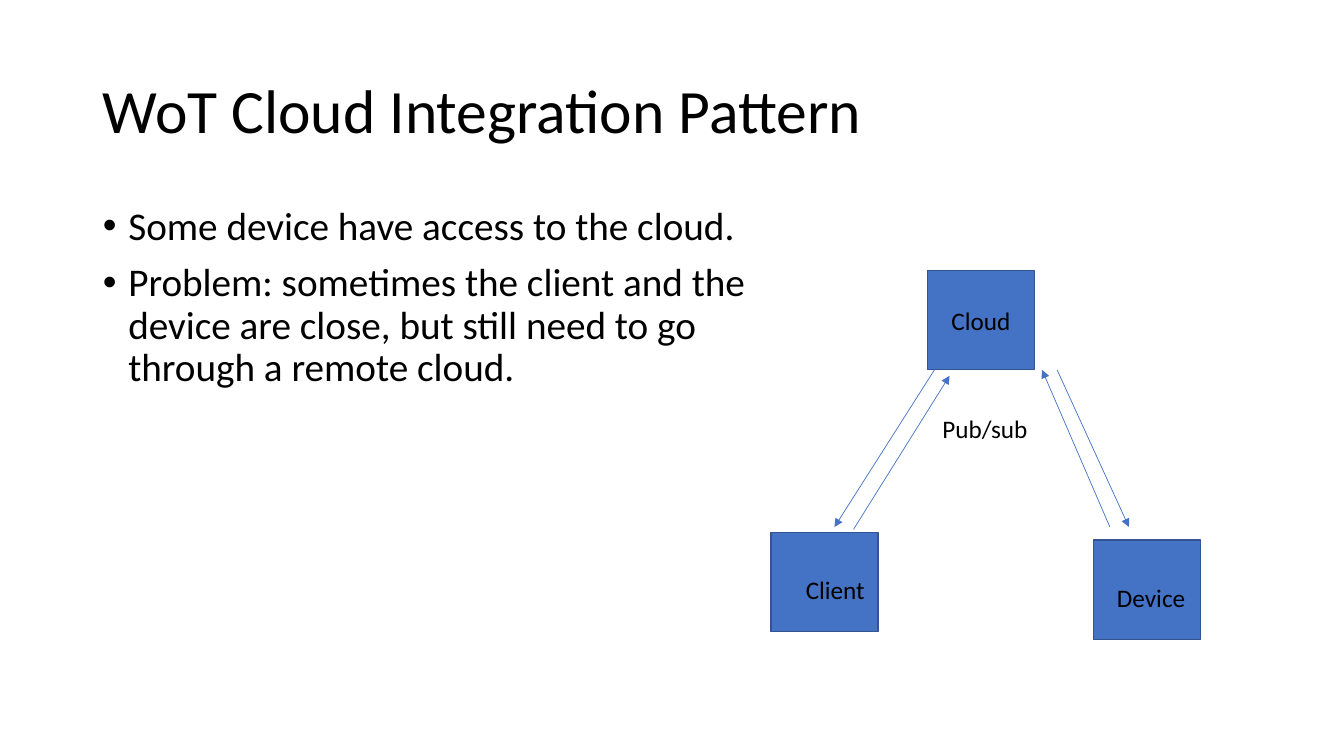
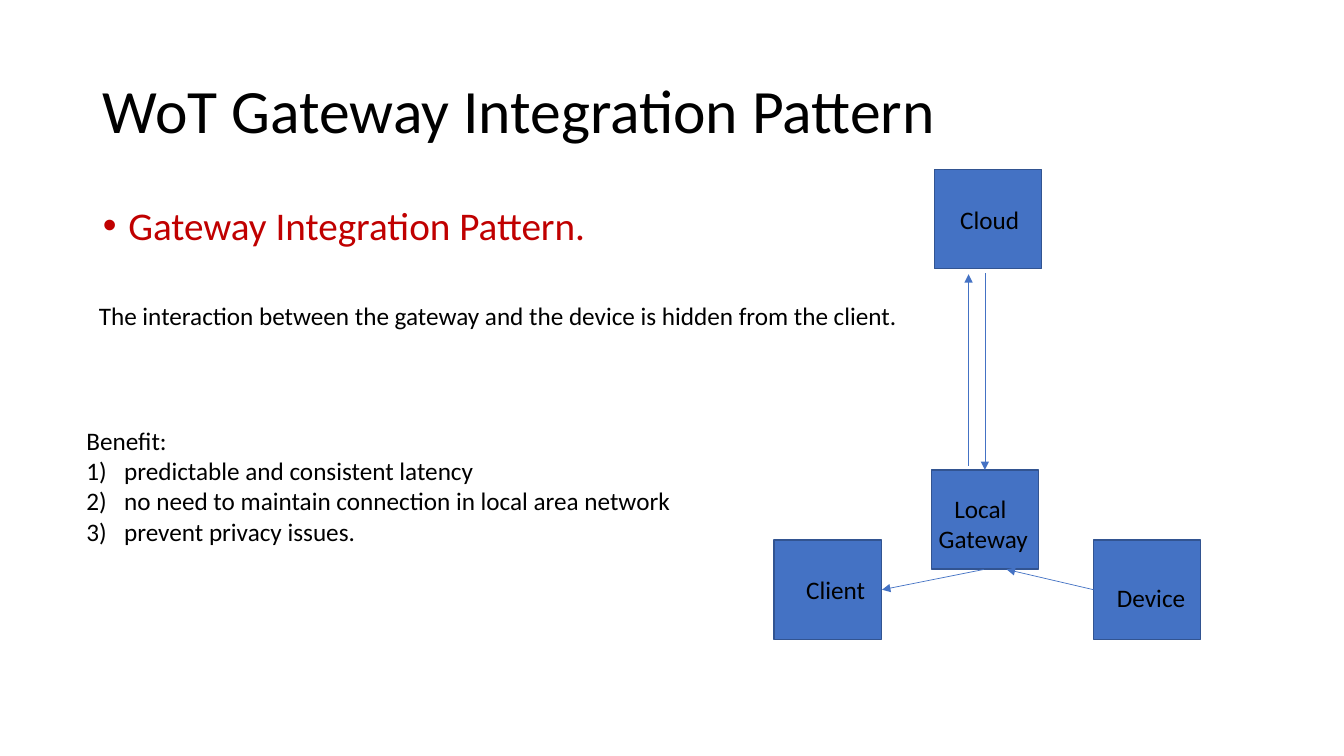
import pptx
import pptx.util
import pptx.dml.color
import pptx.enum.shapes
import pptx.enum.text
import pptx.oxml.ns
import lxml.etree

Cm = pptx.util.Cm
Pt = pptx.util.Pt
Align = pptx.enum.text.PP_ALIGN
Anchor = pptx.enum.text.MSO_ANCHOR
Fit = pptx.enum.text.MSO_AUTO_SIZE

COLORS = {"text": "000000", "accent": "C00000", "node": "4472C4",
          "border": "325491", "arrow": "4472C4"}
FONT = "Calibri"
LABEL_SIZE = 18
NODE_WIDTH, NODE_HEIGHT = 2.7, 2.5
TITLE_BOX = (2.34, 1.02, 29.2, 3.68)
DIAGRAM_BOX = (19.4, 4.2, 11.5, 12.1)


def rgb(name):
    return pptx.dml.color.RGBColor.from_string(COLORS[name])


def add_element(parent, tag, **attributes):
    return lxml.etree.SubElement(parent, pptx.oxml.ns.qn(tag), attributes)


def place(shape, box):
    shape.left, shape.top, shape.width, shape.height = map(Cm, box)


def indent(para, width):
    properties = para._p.get_or_add_pPr()
    properties.set("marL", str(Cm(width)))
    properties.set("indent", str(-Cm(width)))
    return properties


def write(frame, lines, size, color="text", align=Align.LEFT):
    frame.text = "\n".join(lines)
    for para in frame.paragraphs:
        para.alignment = align
        for span in para.runs:
            span.font.size = Pt(size)
            span.font.name = FONT
            span.font.color.rgb = rgb(color)


def add_title(page, text):
    title = page.shapes.title
    place(title, TITLE_BOX)
    frame = title.text_frame
    write(frame, [text], 44)
    frame.auto_size = Fit.NONE
    frame.vertical_anchor = Anchor.MIDDLE
    frame.paragraphs[0].line_spacing = 0.9


def add_bullets(page, box, lines, color="text"):
    body = page.placeholders[1]
    place(body, box)
    frame = body.text_frame
    write(frame, lines, 28, color)
    frame.auto_size = Fit.NONE
    for index, para in enumerate(frame.paragraphs):
        indent(para, 0.64)
        para.line_spacing = 0.9
        para.space_before = Pt(10 if index else 0)


def add_text(page, box, lines, wrap=True):
    frame = page.shapes.add_textbox(*map(Cm, box)).text_frame
    frame.word_wrap = wrap
    write(frame, lines, LABEL_SIZE)
    return frame


def add_numbered_text(page, box, heading, items):
    frame = add_text(page, box, [heading, *items])
    for para in frame.paragraphs[1:]:
        properties = indent(para, 0.95)
        add_element(properties, "a:buFont", typeface="+mj-lt")
        add_element(properties, "a:buAutoNum", type="arabicParenR")


def add_node(page, left, top, lines, shift_x=0, shift_y=0):
    node = page.shapes.add_shape(
        pptx.enum.shapes.MSO_SHAPE.RECTANGLE,
        Cm(left), Cm(top), Cm(NODE_WIDTH), Cm(NODE_HEIGHT))
    node.shadow.inherit = False
    node.fill.solid()
    node.fill.fore_color.rgb = rgb("node")
    node.line.color.rgb = rgb("border")
    node.line.width = Pt(1)
    frame = node.text_frame
    frame.word_wrap = False
    frame.vertical_anchor = Anchor.MIDDLE
    frame.margin_left, frame.margin_top = Cm(2 * shift_x), Cm(2 * shift_y)
    frame.margin_right = frame.margin_bottom = 0
    write(frame, lines, LABEL_SIZE, align=Align.CENTER)


def add_arrow(page, start, end):
    arrow = page.shapes.add_connector(
        pptx.enum.shapes.MSO_CONNECTOR.STRAIGHT, *map(Cm, start + end))
    arrow.line.color.rgb = rgb("arrow")
    arrow.line.width = Pt(0.5)
    add_element(arrow.line._get_or_add_ln(), "a:tailEnd", type="triangle")
    add_element(arrow._element.spPr, "a:effectLst")


def add_diagram(page, box, nodes, arrows):
    left, top = box[:2]
    for x, y, *label in nodes:
        add_node(page, left + x, top + y, *label)
    for start, end in arrows:
        add_arrow(page, (left + start[0], top + start[1]),
                  (left + end[0], top + end[1]))


def add_page(deck, title):
    page = deck.slides.add_slide(deck.slide_layouts[1])
    add_title(page, title)
    return page


def build_cloud_page(deck, device):
    page = add_page(deck, "WoT Cloud Integration Pattern")
    add_bullets(page, (2.34, 5.08, 17.02, 12.1), [
        "Some device have access to the cloud.",
        "Problem: sometimes the client and the device are close, "
        "but still need to go through a remote cloud."])
    add_diagram(page, DIAGRAM_BOX, [
        device,
        (3.97, 2.62, ["Cloud"]),
        (0.03, 9.22, ["Client"], 0.27, 0.18),
    ], [
        ((7.24, 5.12), (9.05, 9.08)),
        ((8.57, 9.08), (6.86, 5.12)),
        ((2.11, 9.14), (4.53, 5.27)),
        ((4.15, 5.12), (1.63, 9.08)),
    ])
    left, top = DIAGRAM_BOX[:2]
    add_text(page, (left + 4.1, top + 6.09, 2.69, 1.02), ["Pub/sub"], wrap=False)


def build_gateway_page(deck, device):
    page = add_page(deck, "WoT Gateway Integration Pattern")
    add_bullets(page, (2.34, 5.08, 29.2, 12.1),
                ["Gateway Integration Pattern."], "accent")
    add_diagram(page, DIAGRAM_BOX, [
        device,
        (4.15, 0.07, ["Cloud"], 0.04),
        (0.11, 9.41, ["Client"], 0.2),
        (4.07, 7.64, ["Local ", "Gateway"], -0.04, 0.1),
    ], [
        ((5.42, 2.68), (5.42, 7.64)),
        ((8.16, 10.66), (5.97, 10.15)),
        ((5.01, 7.53), (5.01, 2.71)),
        ((5.39, 10.15), (2.83, 10.66)),
    ])
    add_text(page, (2.24, 7.44, 21.23, 1.02), [
        "The interaction between the gateway and the device "
        "is hidden from the client."])
    add_numbered_text(page, (1.93, 10.59, 16.94, 3.33), "Benefit:", [
        "predictable and consistent latency",
        "no need to maintain connection in local area network",
        "prevent privacy issues."])


def main():
    deck = pptx.Presentation()
    deck.slide_width, deck.slide_height = Cm(33.87), Cm(19.05)
    device = (8.16, 9.41, ["Device"], 0.1, 0.2)
    build_cloud_page(deck, device)
    build_gateway_page(deck, device)
    deck.save("out.pptx")


if __name__ == "__main__":
    main()
